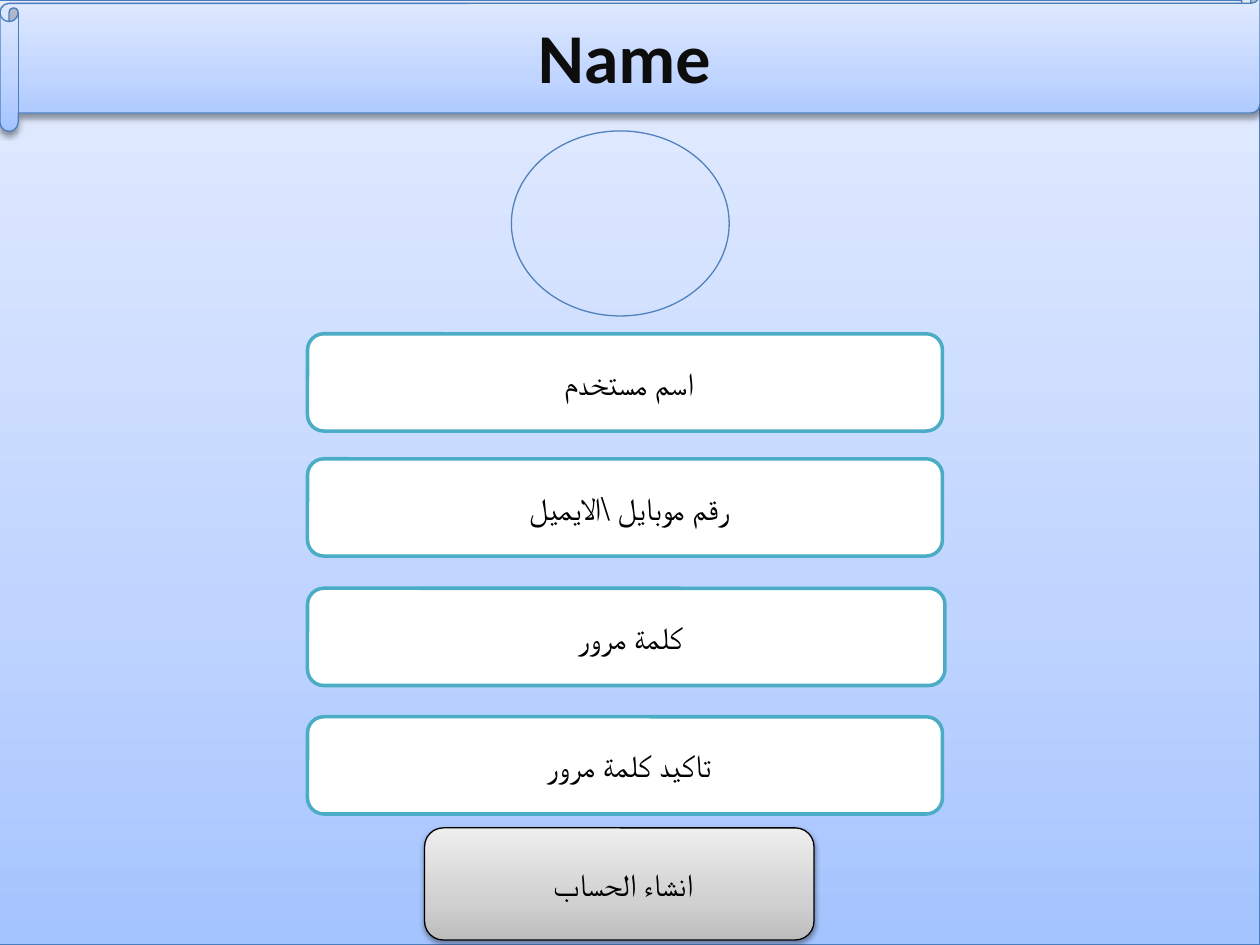
from dataclasses import dataclass
from typing import Optional

from lxml import etree
from pptx import Presentation
from pptx import util as u
from pptx.dml.color import RGBColor
from pptx.enum import shapes, text
from pptx.oxml.ns import qn

BLACK = RGBColor(0x00, 0x00, 0x00)
INK = RGBColor(0x0D, 0x0D, 0x0D)
WHITE = RGBColor(0xFF, 0xFF, 0xFF)
TEAL = RGBColor(0x4B, 0xAC, 0xC6)
BLUE = RGBColor(0x4F, 0x81, 0xBD)
EDGE_BLUE = RGBColor(0x4B, 0x7E, 0xBC)
SKY = (RGBColor(0xA4, 0xC4, 0xFF), RGBColor(0xBF, 0xD4, 0xFF), RGBColor(0xE6, 0xEE, 0xFF))
SILVER = (RGBColor(0xBD, 0xBD, 0xBD), RGBColor(0xD1, 0xD1, 0xD1), RGBColor(0xEE, 0xEE, 0xEE))
STOPS = (0, 35, 100)
FONT = "Calibri"
Kind = shapes.MSO_SHAPE


@dataclass(frozen=True)
class Area:
    left: float
    top: float
    width: float
    height: float

    def lengths(self) -> tuple:
        return tuple(u.Cm(n) for n in (self.left, self.top, self.width, self.height))


@dataclass(frozen=True)
class Field:
    label: str
    top: float
    width: float = 12.8


FIELDS = (
    Field("اسم مستخدم ", 6.73),
    Field("رقم موبايل \\الايميل ", 9.25),
    Field("كلمة مرور ", 11.86, 12.85),
    Field("تاكيد كلمة مرور ", 14.45),
)


def add_panel(page, kind, area: Area, line: RGBColor, weight: float = 0.75,
              fill: Optional[RGBColor] = None):
    panel = page.shapes.add_shape(kind, *area.lengths())
    panel.shadow.inherit = False
    panel.line.color.rgb = line
    panel.line.width = u.Pt(weight)
    if fill is None:
        panel.fill.background()
    else:
        panel.fill.solid()
        panel.fill.fore_color.rgb = fill
    return panel


def add_color(parent, color: RGBColor):
    return etree.SubElement(parent, qn("a:srgbClr"), val=str(color))


def add_raised_panel(page, kind, area: Area, line: RGBColor, colors: tuple):
    panel = add_panel(page, kind, area, line)
    panel.fill.gradient()
    panel.fill.gradient_angle = 90
    properties = panel._element.spPr
    stop_list = properties.find(".//" + qn("a:gsLst"))
    stop_list.clear()
    for position, color in zip(STOPS, colors):
        add_color(etree.SubElement(stop_list, qn("a:gs"), pos=str(position * 1000)), color)
    shadow = etree.SubElement(
        properties.find(qn("a:effectLst")), qn("a:outerShdw"), blurRad=str(u.Pt(3.1)),
        dist=str(u.Pt(1.6)), dir="5400000", rotWithShape="0")
    etree.SubElement(add_color(shadow, BLACK), qn("a:alpha"), val="38000")
    return panel


def add_text(para, words: str, *, size: float = 18, color: RGBColor = BLACK,
             bold: bool = False, align=None) -> None:
    para._p.get_or_add_pPr().set("rtl", "1")
    if align is not None:
        para.alignment = align
    span = para.add_run()
    span.text = words
    span.font.name = FONT
    span.font.size = u.Pt(size)
    span.font.bold = bold
    span.font.color.rgb = color


def add_label(panel, words: str) -> None:
    frame = panel.text_frame
    frame.word_wrap = True
    frame.vertical_anchor = text.MSO_ANCHOR.MIDDLE
    add_text(frame.paragraphs[0], words, align=text.PP_ALIGN.CENTER)


def add_field(page, field: Field) -> None:
    area = Area(6.2, field.top, field.width, 1.96)
    add_label(add_panel(page, Kind.ROUNDED_RECTANGLE, area, TEAL, 2, WHITE), field.label)


def add_title(page, words: str) -> None:
    box = page.shapes.add_textbox(*Area(10.31, 0.15, 5.79, 1.96).lengths())
    frame = box.text_frame
    frame.word_wrap = True
    frame.auto_size = text.MSO_AUTO_SIZE.SHAPE_TO_FIT_TEXT
    para = frame.paragraphs[0]
    add_text(para, words, size=40, color=INK, bold=True)
    add_text(para, " ", size=32, color=INK)


def main() -> None:
    deck = Presentation()
    deck.slide_width, deck.slide_height = u.Cm(25.4), u.Cm(19.05)
    page = deck.slides.add_slide(deck.slide_layouts[6])

    add_raised_panel(page, Kind.RECTANGLE, Area(-0.1, 0, 25.5, 19.05), EDGE_BLUE, SKY)
    for field in FIELDS:
        add_field(page, field)
    button = add_raised_panel(page, Kind.ROUNDED_RECTANGLE, Area(8.56, 16.69, 7.85, 2.26),
                              BLACK, SILVER)
    add_label(button, "انشاء الحساب ")
    add_panel(page, Kind.OVAL, Area(10.31, 2.64, 4.39, 3.73), BLUE)
    add_raised_panel(page, Kind.HORIZONTAL_SCROLL, Area(0, -0.3, 25.4, 2.95), EDGE_BLUE, SKY)
    add_title(page, "Name")
    deck.save("out.pptx")


if __name__ == "__main__":
    main()
